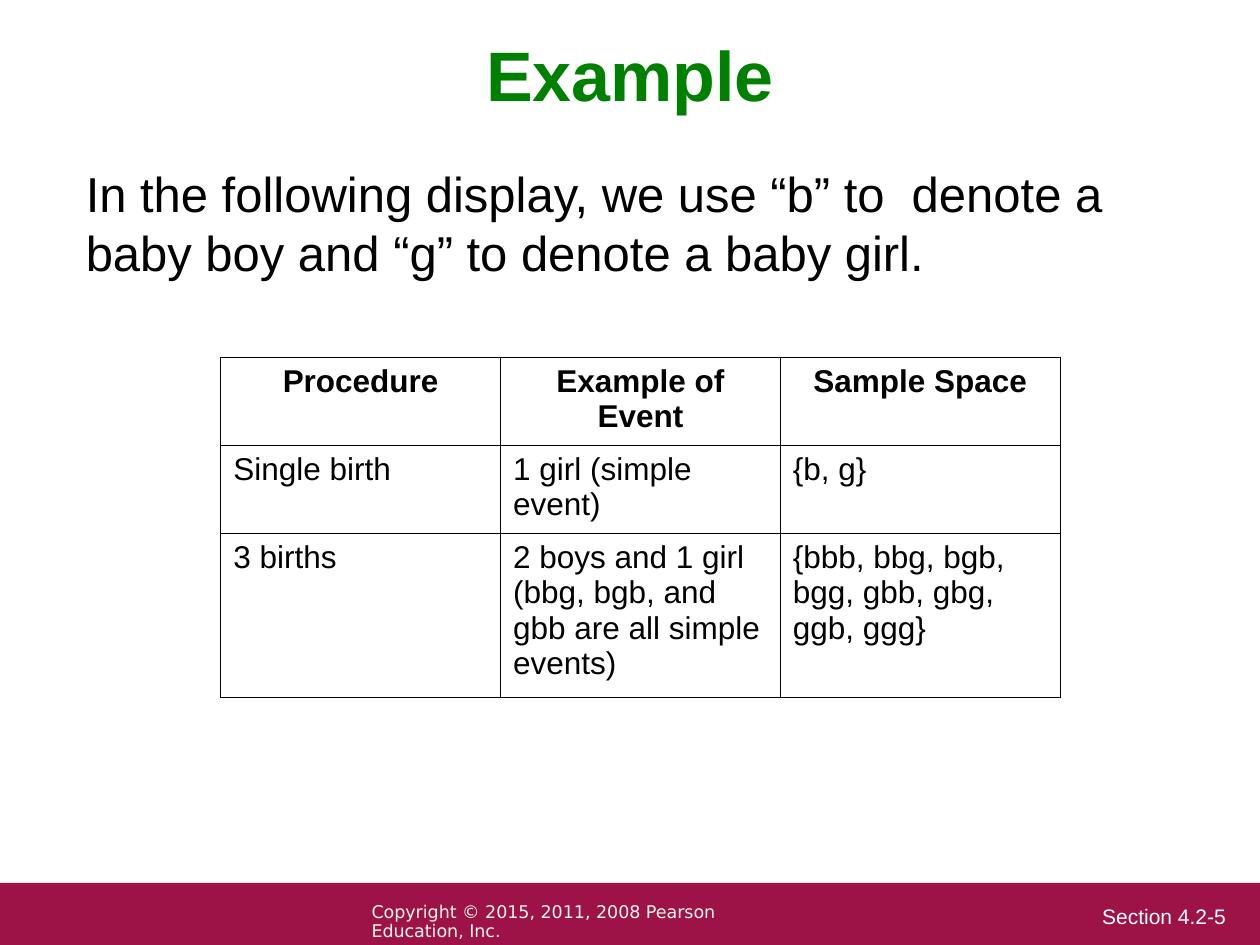
from dataclasses import dataclass

from lxml.etree import SubElement
from pptx import Presentation
from pptx.dml.color import RGBColor
from pptx.enum.shapes import MSO_SHAPE
from pptx.enum.text import PP_ALIGN
from pptx.oxml.ns import qn
from pptx.slide import Slide
from pptx.util import Cm, Pt

BLACK = RGBColor(0x00, 0x00, 0x00)
WHITE = RGBColor(0xFF, 0xFF, 0xFF)
GREEN = RGBColor(0x00, 0x80, 0x00)
CRIMSON = RGBColor(0x9D, 0x13, 0x48)
IVORY = RGBColor(0xF3, 0xF5, 0xE7)

SAMPLE_SPACES = [
    ["Procedure", "Example of Event", "Sample Space"],
    ["Single birth", "1 girl (simple event)", "{b, g}"],
    [
        "3 births",
        "2 boys and 1 girl\n(bbg, bgb, and gbb are all simple events)",
        "{bbb, bbg, bgb, bgg, gbb, gbg, ggb, ggg}",
    ],
]


@dataclass
class SlideBuilder:
    slide: Slide
    font_name: str = "Arial"
    border_width: float = 0.45

    def style(self, paragraph, size, color, bold=False, align=PP_ALIGN.LEFT, font_name=None):
        paragraph.alignment = align
        font = paragraph.font
        font.name = font_name or self.font_name
        font.size = Pt(size)
        font.bold = bold
        font.color.rgb = color

    def band(self, left, top, width, height, color):
        band = self.slide.shapes.add_shape(
            MSO_SHAPE.RECTANGLE, Cm(left), Cm(top), Cm(width), Cm(height)
        )
        band.shadow.inherit = False
        band.fill.solid()
        band.fill.fore_color.rgb = color
        band.line.fill.background()

    def text(self, wording, left, top, width, height, size, color, spacing=0.9, **style):
        box = self.slide.shapes.add_textbox(Cm(left), Cm(top), Cm(width), Cm(height))
        frame = box.text_frame
        frame.word_wrap = True
        frame.text = wording
        paragraph = frame.paragraphs[0]
        paragraph.line_spacing = spacing
        self.style(paragraph, size, color, **style)

    def border(self, cell):
        properties = cell._tc.get_or_add_tcPr()
        for position, side in enumerate(("a:lnL", "a:lnR", "a:lnT", "a:lnB")):
            line = properties.makeelement(qn(side), {"w": str(int(Pt(self.border_width)))})
            fill = SubElement(line, qn("a:solidFill"))
            SubElement(fill, qn("a:srgbClr"), val=str(BLACK))
            properties.insert(position, line)

    def table(self, rows, left, top, column_width, row_heights, size):
        columns = len(rows[0])
        table = self.slide.shapes.add_table(
            len(rows), columns, Cm(left), Cm(top),
            Cm(column_width * columns), Cm(sum(row_heights)),
        ).table
        table.horz_banding = False
        for column in table.columns:
            column.width = Cm(column_width)
        for row_index, wordings in enumerate(rows):
            table.rows[row_index].height = Cm(row_heights[row_index])
            heading = row_index == 0
            align = PP_ALIGN.CENTER if heading else PP_ALIGN.LEFT
            for column_index, wording in enumerate(wordings):
                cell = table.cell(row_index, column_index)
                cell.text = wording
                cell.fill.background()
                self.border(cell)
                for paragraph in cell.text_frame.paragraphs:
                    self.style(paragraph, size, BLACK, bold=heading, align=align)


def main():
    presentation = Presentation()
    presentation.slide_width = Cm(25.4)
    presentation.slide_height = Cm(19.05)
    builder = SlideBuilder(presentation.slides.add_slide(presentation.slide_layouts[6]))

    builder.band(0, 17.8, 25.4, 1.25, CRIMSON)
    builder.text("Section 4.2-5", 21.97, 18.14, 3.38, 0.66, 12, WHITE)
    builder.text(
        "Copyright © 2015, 2011, 2008 Pearson Education, Inc.",
        7.24, 18.08, 9.35, 0.64, 10, IVORY, font_name="DejaVu Sans",
    )
    builder.text(
        "Example", 1.9, 0.71, 21.6, 1.78, 40, GREEN, bold=True, align=PP_ALIGN.CENTER
    )
    builder.text(
        "In the following display, we use “b” to  denote a baby boy "
        "and “g” to denote a baby girl.",
        1.48, 3.18, 22.65, 3.18, 28, BLACK, spacing=1.0,
    )
    builder.table(SAMPLE_SPACES, 4.45, 7.2, 5.64, [1.78, 1.78, 3.3], 18)

    presentation.save("out.pptx")


if __name__ == "__main__":
    main()
